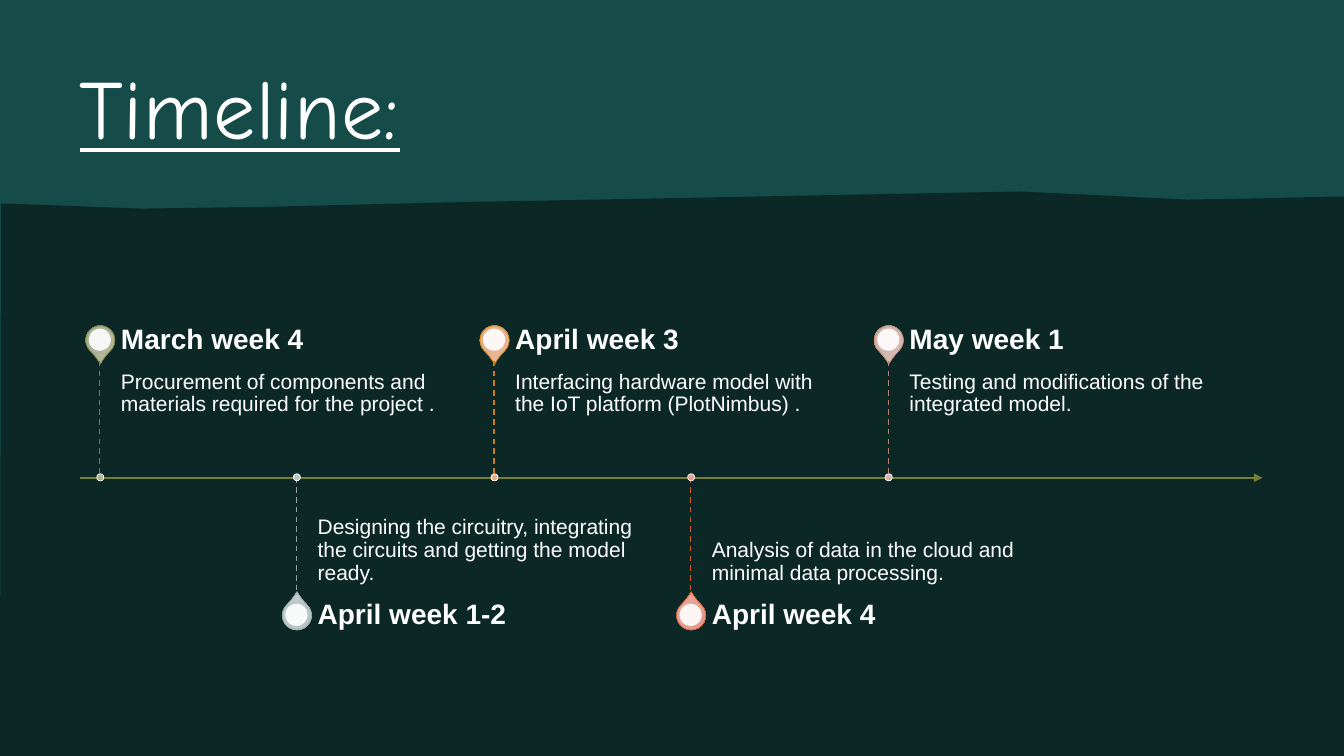
from lxml.etree import SubElement
from pptx import Presentation
from pptx.dml.color import RGBColor
from pptx.enum.dml import MSO_LINE_DASH_STYLE as Dash
from pptx.enum.shapes import MSO_CONNECTOR_TYPE as Connector, MSO_SHAPE as Preset
from pptx.enum.text import MSO_ANCHOR as Anchor, MSO_AUTO_SIZE as AutoSize, PP_ALIGN as Align
from pptx.oxml.ns import qn
from pptx.util import Emu, Pt

SCALE = 9144  # EMU per px, 100 px to the inch
WIDTH, HEIGHT = 1333, 750
AXIS_Y = 474
FIRST_X, STEP = 99, 195.4

COLORS = {"dark": "0B2827", "teal": "154C4A", "white": "FFFFFF", "axis": "767E37"}

# Heading, description, line colour, gradient colours
MILESTONES = [
    ("March week 4", "Procurement of components and materials required for the project .",
     "767E37", ("B9BDA2", "ADB196", "A2A782")),
    ("April week 1-2", "Designing the circuitry, integrating the circuits and getting the model ready.",
     "8FA3A3", ("C6CFCF", "BBC6C6", "B1BFBF")),
    ("April week 3", "Interfacing hardware model with the IoT platform (PlotNimbus) .",
     "CE7F01", ("EDBC9D", "E4B290", "E1A67C")),
    ("April week 4", "Analysis of data in the cloud and minimal data processing.",
     "D15A29", ("E9AEA1", "E4A194", "E5907F")),
    ("May week 1", "Testing and modifications of the integrated model.",
     "B88470", ("D9C0B8", "D2B5AB", "CEAA9D")),
]

HILL = [(1012, 190), (1177, 198), (1243, 197), (1323, 195), (1333, 195), (1333, 750),
        (0, 750), (1, 202), (8, 202), (140, 207), (272, 205), (354, 203), (436, 201)]


def px(length):
    return Emu(length * SCALE)


def rgb(color):
    return RGBColor.from_string(color)


def write(box, text, size=15, font="Arial", bold=False, underline=False, spacing=0.9,
          tracking=0, anchor=Anchor.TOP, insets=(0, 0, 0, 0)):
    frame = box.text_frame
    frame.word_wrap = True
    frame.auto_size = AutoSize.NONE
    frame.vertical_anchor = anchor
    (frame.margin_left, frame.margin_top,
     frame.margin_right, frame.margin_bottom) = map(px, insets)
    para = frame.paragraphs[0]
    para.alignment = Align.LEFT
    para.line_spacing = spacing
    span = para.add_run()
    span.text = text
    span.font.name, span.font.size = font, Pt(size)
    span.font.bold, span.font.underline = bold, underline
    span.font.color.rgb = rgb(COLORS["white"])
    if tracking:
        span.font._element.set("spc", str(tracking))


class Board:
    """Holds the style and the current slide."""

    def __init__(self, deck):
        self.page = deck.slides.add_slide(deck.slide_layouts[5])
        self.paint(self.page.background, COLORS["dark"])

    def paint(self, item, fill):
        if isinstance(fill, str):
            item.fill.solid()
            item.fill.fore_color.rgb = rgb(fill)
            return
        item.fill.gradient()
        item.fill.gradient_angle = 270
        stops = item.element.spPr.find(".//" + qn("a:gsLst"))
        for stop in list(stops):
            stops.remove(stop)
        for index, color in enumerate(fill):
            stop = SubElement(stops, qn("a:gs"), pos=str(index * 50000))
            SubElement(stop, qn("a:srgbClr"), val=color)

    def finish(self, shape, fill, outline=None):
        shape.shadow.inherit = False
        self.paint(shape, fill)
        if outline:
            shape.line.color.rgb = rgb(outline)
            shape.line.width = Pt(0.5)
        else:
            shape.line.fill.background()
        return shape

    def shape(self, preset, left, top, width, height, fill, outline=None):
        shape = self.page.shapes.add_shape(preset, *map(px, (left, top, width, height)))
        return self.finish(shape, fill, outline)

    def outline(self, points, fill):
        builder = self.page.shapes.build_freeform(*points[0], scale=SCALE)
        builder.add_line_segments(points[1:], close=True)
        return self.finish(builder.convert_to_shape(), fill)

    def line(self, start, end, color, width, dashed=False, arrow=False):
        line = self.page.shapes.add_connector(Connector.STRAIGHT, *map(px, start + end))
        line.line.color.rgb = rgb(color)
        line.line.width = Pt(width)
        if dashed:
            line.line.dash_style = Dash.DASH
        if arrow:
            SubElement(line.line._get_or_add_ln(), qn("a:tailEnd"), type="triangle")
        SubElement(line.element.spPr, qn("a:effectLst"))

    def text(self, left, top, width, height, text, **style):
        box = self.page.shapes.add_textbox(*map(px, (left, top, width, height)))
        write(box, text, **style)

    def title(self, left, top, width, height, text, **style):
        title = self.page.shapes.title
        title.left, title.top, title.width, title.height = map(px, (left, top, width, height))
        write(title, text, **style)
        return title

    def milestone(self, x, above, heading, description, color, shades):
        pin_top, heading_top, pin_end = (323, 317, 358) if above else (596, 590, 590)
        # Pin
        pin = self.shape(Preset.TEAR, x - 14, pin_top, 29, 29, shades, color)
        pin.adjustments[0] = 1.15
        pin.rotation = 135 if above else 315
        face = self.shape(Preset.OVAL, x - 11, pin_top + 3, 22, 22, COLORS["white"])
        SubElement(face.element.spPr.find(".//" + qn("a:srgbClr")), qn("a:alpha"), val="90000")
        # Words
        self.text(x + 21, min(pin_end, AXIS_Y), 325, 116, description,
                  anchor=Anchor.TOP if above else Anchor.BOTTOM,
                  insets=(0, 10, 10, 16) if above else (0, 16, 0, 10))
        self.text(x + 21, heading_top, 325, 41, heading, size=20, bold=True,
                  anchor=Anchor.MIDDLE, insets=(0, 0, 14, 0))
        # Stem and dot on the axis
        self.line((x, min(pin_end, AXIS_Y)), (x, max(pin_end, AXIS_Y)), color, 1, dashed=True)
        self.shape(Preset.OVAL, x - 3, AXIS_Y - 4, 7, 7, shades, COLORS["white"])


def main():
    deck = Presentation()
    deck.slide_width, deck.slide_height = px(WIDTH), px(HEIGHT)
    board = Board(deck)

    # Backdrop and title
    backdrop = board.shape(Preset.RECTANGLE, 0, 0, WIDTH, HEIGHT, COLORS["teal"])
    title = board.title(79, 68, 1173, 75, "Timeline:", size=60, font="Comic Neue",
                        underline=True, spacing=0.88, tracking=40)
    title.element.addprevious(backdrop.element)
    board.outline(HILL, COLORS["dark"])

    # Timeline, with milestones alternating above and below
    board.line((79, AXIS_Y), (1252, AXIS_Y), COLORS["axis"], 1.5, arrow=True)
    for index, entry in enumerate(MILESTONES):
        board.milestone(FIRST_X + round(index * STEP), index % 2 == 0, *entry)

    deck.save("out.pptx")


if __name__ == "__main__":
    main()
